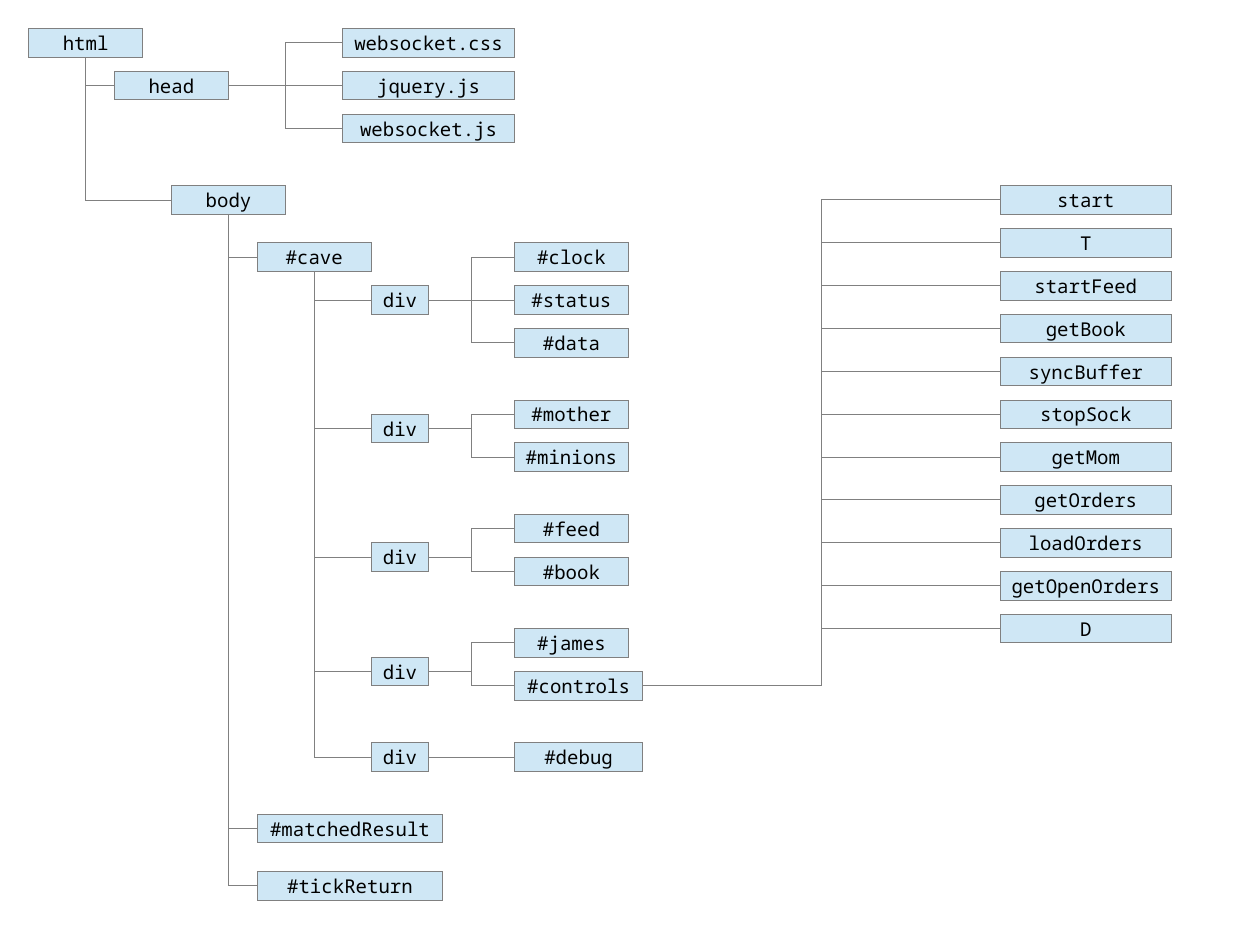
from dataclasses import dataclass

from lxml import etree
from pptx import Presentation
from pptx import util as u
from pptx.dml.color import RGBColor
from pptx.enum import shapes, text
from pptx.oxml.ns import qn

BOTTOM, LEFT, RIGHT = 2, 1, 3


@dataclass(frozen=True)
class Theme:
    fill: RGBColor = RGBColor(0xCF, 0xE7, 0xF5)
    line: RGBColor = RGBColor(0x80, 0x80, 0x80)
    ink: RGBColor = RGBColor(0, 0, 0)
    font: str = "Noto Sans Mono"
    size: int = 12
    hairline: int = 0


def grid(units):
    """Length of a number of grid units, eight to the inch."""
    return u.Inches(units / 8)


class TreeSlide:
    ROW = 3  # row pitch in grid units
    BOX_HEIGHT = 2

    def __init__(self, page, theme):
        self.page = page
        self.theme = theme

    def box(self, label, left, top, width):
        box = self.page.shapes.add_shape(
            shapes.MSO_SHAPE.RECTANGLE,
            grid(left), grid(top), grid(width), grid(self.BOX_HEIGHT))
        box.shadow.inherit = False
        box.fill.solid()
        box.fill.fore_color.rgb = self.theme.fill
        self.outline(box)
        frame = box.text_frame
        frame.word_wrap = False
        frame.vertical_anchor = text.MSO_ANCHOR.MIDDLE
        frame.text = label
        para = frame.paragraphs[0]
        para.alignment = text.PP_ALIGN.CENTER
        span = para.runs[0]
        span.font.name = self.theme.font
        span.font.size = u.Pt(self.theme.size)
        span.font.color.rgb = self.theme.ink
        return box

    def column(self, labels, left, top, width):
        return [self.box(label, left, top + row * self.ROW, width)
                for row, label in enumerate(labels)]

    def outline(self, item):
        item.line.color.rgb = self.theme.line
        # A zero width has to be written out, or the theme's width applies
        item.element.spPr.find(qn("a:ln")).set("w", str(self.theme.hairline))

    def connect(self, kind, parent, side, child):
        link = self.page.shapes.add_connector(kind, 0, 0, 0, 0)
        link.begin_connect(parent, side)
        link.end_connect(child, LEFT)
        self.outline(link)
        etree.SubElement(link.element.spPr, qn("a:effectLst"))
        return link

    def fan(self, parent, children):
        """Join the right side of a box to the left sides of its children."""
        for child in children:
            level = parent.top == child.top
            kind = shapes.MSO_CONNECTOR.STRAIGHT if level else shapes.MSO_CONNECTOR.ELBOW
            self.connect(kind, parent, RIGHT, child)

    def hang(self, parent, children):
        """Drop from the bottom of a box, then turn right to each child."""
        for child in children:
            link = self.connect(shapes.MSO_CONNECTOR.ELBOW, parent, BOTTOM, child)
            across, down = link.width, link.height
            # One-bend elbow: a turned frame keeps its centre
            link.left += (across - down) // 2
            link.top += (down - across) // 2
            link.width, link.height = down, across
            properties = link.element.spPr
            properties.find(qn("a:prstGeom")).set("prst", "bentConnector2")
            frame = properties.find(qn("a:xfrm"))
            frame.set("rot", str(270 * 60000))
            frame.set("flipH", "1")


def main():
    deck = Presentation()
    # A page of 28 by 21 centimetres
    deck.slide_width = u.Inches(28 / 2.54)
    deck.slide_height = u.Inches(21 / 2.54)
    page = deck.slides.add_slide(deck.slide_layouts[6])
    tree = TreeSlide(page, Theme())

    # Document root and head
    html = tree.box("html", 2, 2, 8)
    head = tree.box("head", 8, 5, 8)
    body = tree.box("body", 12, 13, 8)
    tree.hang(html, [head, body])
    tree.fan(head, tree.column(["websocket.css", "jquery.js", "websocket.js"], 24, 2, 12))

    # Body
    cave = tree.box("#cave", 18, 17, 8)
    matched = tree.box("#matchedResult", 18, 57, 13)
    tick = tree.box("#tickReturn", 18, 61, 13)
    tree.hang(body, [cave, matched, tick])

    # Blocks of the cave: top of the div, then label, top and width of each part
    blocks = [
        (20, [("#clock", 17, 8), ("#status", 20, 8), ("#data", 23, 8)]),
        (29, [("#mother", 28, 8), ("#minions", 31, 8)]),
        (38, [("#feed", 36, 8), ("#book", 39, 8)]),
        (46, [("#james", 44, 8), ("#controls", 47, 9)]),
        (52, [("#debug", 52, 9)]),
    ]
    parts = {}
    for div_top, entries in blocks:
        div = tree.box("div", 26, div_top, 4)
        tree.hang(cave, [div])
        members = [tree.box(label, 36, top, width) for label, top, width in entries]
        tree.fan(div, members)
        parts.update((member.text_frame.text, member) for member in members)

    # Control buttons
    buttons = ["start", "T", "startFeed", "getBook", "syncBuffer", "stopSock",
               "getMom", "getOrders", "loadOrders", "getOpenOrders", "D"]
    tree.fan(parts["#controls"], tree.column(buttons, 70, 13, 12))

    deck.save("out.pptx")


if __name__ == "__main__":
    main()
